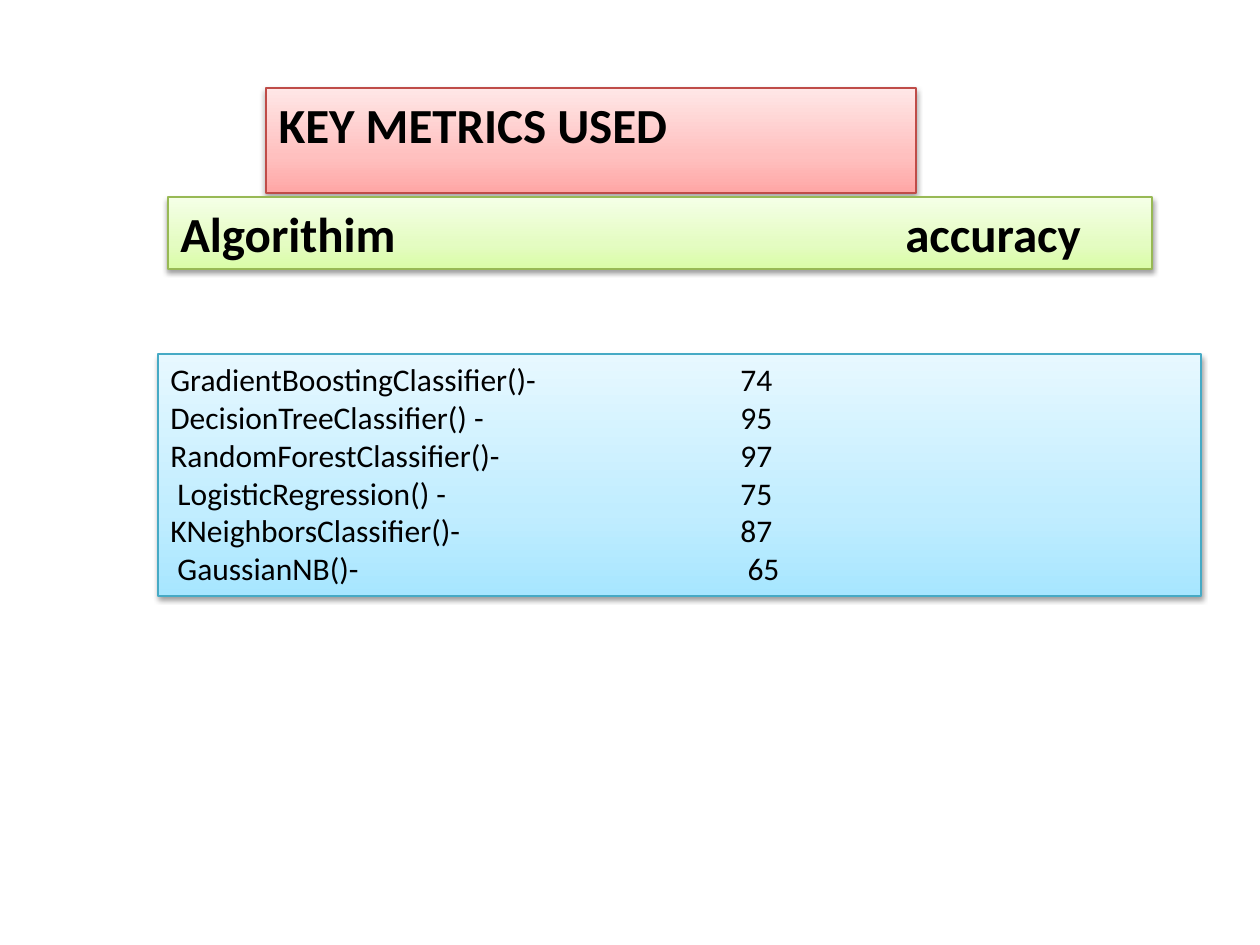
from copy import deepcopy
from dataclasses import dataclass

from lxml.etree import SubElement
from pptx import Presentation
from pptx.dml.color import RGBColor
from pptx.enum.shapes import MSO_SHAPE
from pptx.enum.text import MSO_ANCHOR, MSO_AUTO_SIZE, PP_ALIGN
from pptx.oxml.ns import qn
from pptx.util import Emu, Pt

PX = 914400 / 126


@dataclass(frozen=True)
class Theme:
    font: str = "Calibri"
    ink: str = "000000"
    heading: int = 28
    body: int = 18
    red: tuple = ("FFA6A5", "FFC0BF", "FFE7E7", "BF4C48")
    green: tuple = ("DAFDA7", "E4FCC2", "F5FFE7", "98B955")
    blue: tuple = ("A7E6FF", "C1EDFF", "E7F8FF", "46AAC5")


THEME = Theme()


def px(n):
    return Emu(round(n * PX))


def write(sp, lines, size, bold=False, tab=None):
    tf = sp.text_frame
    tf.word_wrap = True
    tf.auto_size = MSO_AUTO_SIZE.SHAPE_TO_FIT_TEXT
    tf.vertical_anchor = MSO_ANCHOR.TOP
    for i, line in enumerate(lines):
        p = tf.add_paragraph() if i else tf.paragraphs[0]
        p.alignment = PP_ALIGN.LEFT
        if tab:
            tabs = SubElement(p._p.get_or_add_pPr(), qn("a:tabLst"))
            SubElement(tabs, qn("a:tab"), pos=str(px(tab)), algn="l")
        r = p.add_run()
        r.text = line
        r.font.name = THEME.font
        r.font.size = Pt(size)
        r.font.bold = bold
        r.font.color.rgb = RGBColor.from_string(THEME.ink)


class Deck:
    def __init__(self, theme):
        self.theme = theme
        self.prs = Presentation()
        self.prs.slide_width, self.prs.slide_height = px(1260), px(945)
        self.s = self.prs.slides.add_slide(self.prs.slide_layouts[5])

    def style(self, sp, colours):
        *stops, outline = colours
        spPr = sp._element.spPr
        sp.fill.gradient()
        sp.fill.gradient_angle = 90
        gs_list = spPr.find(".//" + qn("a:gsLst"))
        gs_list.insert(1, deepcopy(gs_list[0]))
        for stop, colour, position in zip(sp.fill.gradient_stops, stops, (0, 0.35, 1)):
            stop.color.rgb = RGBColor.from_string(colour)
            stop.position = position
        sp.line.color.rgb = RGBColor.from_string(outline)
        sp.line.width = Pt(0.75)
        effects = SubElement(spPr, qn("a:effectLst"))
        shadow = SubElement(effects, qn("a:outerShdw"), blurRad="40000",
                            dist="20000", dir="5400000", rotWithShape="0")
        colour = SubElement(shadow, qn("a:srgbClr"), val=self.theme.ink)
        SubElement(colour, qn("a:alpha"), val="38000")

    def title(self, text, x, y, w, h, colours):
        sp = self.s.shapes.title
        sp.left, sp.top, sp.width, sp.height = map(px, (x, y, w, h))
        self.style(sp, colours)
        write(sp, [text], self.theme.heading, bold=True)

    def panel(self, lines, x, y, w, h, colours, size, **fmt):
        sp = self.s.shapes.add_shape(MSO_SHAPE.RECTANGLE, *map(px, (x, y, w, h)))
        self.style(sp, colours)
        write(sp, lines, size, **fmt)

    def text(self, lines, x, y, w, h, size):
        sp = self.s.shapes.add_textbox(*map(px, (x, y, w, h)))
        write(sp, lines, size)


def main():
    scores = {
        "GradientBoostingClassifier()-": "74",
        "DecisionTreeClassifier() -": "95",
        "RandomForestClassifier()-": "97",
        " LogisticRegression() -": "75",
        "KNeighborsClassifier()-": "87",
        " GaussianNB()-": " 65",
    }
    t = THEME
    deck = Deck(t)
    deck.title("KEY METRICS USED", 266, 88, 650, 72, t.red)
    deck.panel(scores.keys(), 158, 354, 1043, 242, t.blue, t.body)
    deck.panel(["Algorithim\taccuracy"], 168, 197, 984, 72, t.green, t.heading,
               bold=True, tab=725)
    deck.text(scores.values(), 728, 354, 374, 242, t.body)
    deck.prs.save("out.pptx")


if __name__ == "__main__":
    main()
